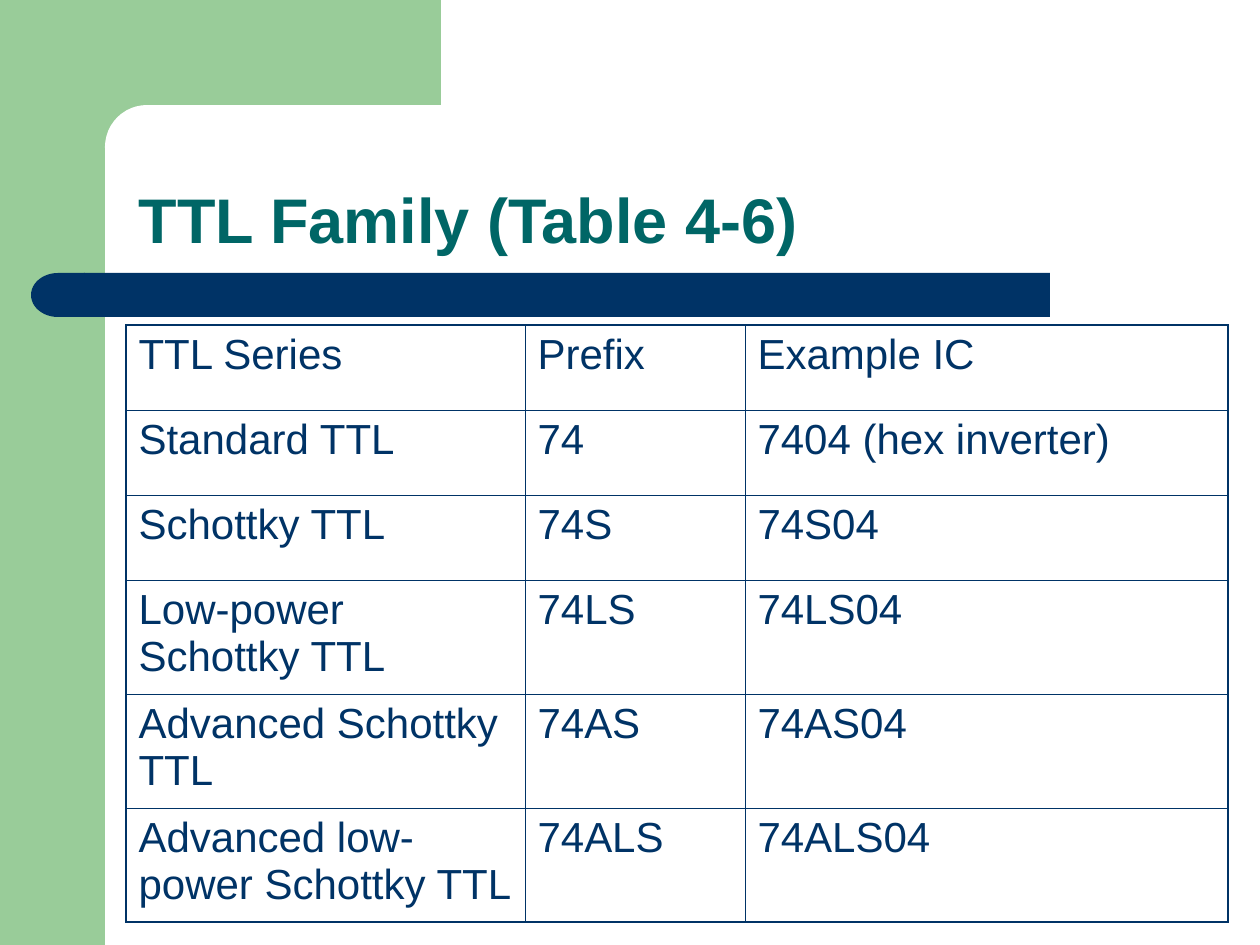
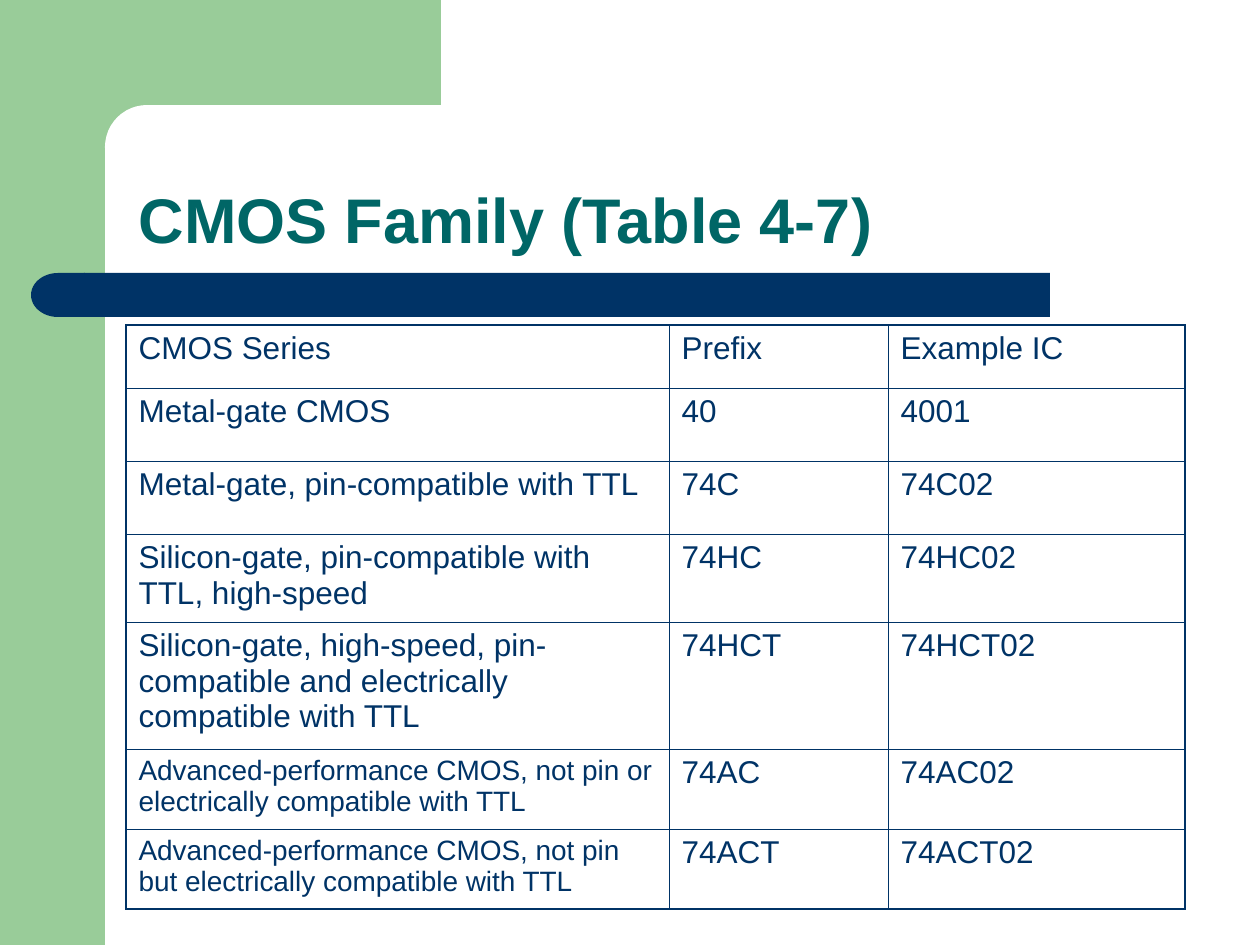
from dataclasses import dataclass
from typing import Any, Optional

from lxml import etree
from pptx import Presentation
from pptx.dml.color import RGBColor
from pptx.enum.shapes import MSO_SHAPE
from pptx.enum.text import MSO_ANCHOR, MSO_AUTO_SIZE, PP_ALIGN
from pptx.oxml.ns import qn
from pptx.util import Emu, Pt

RECTANGLE = MSO_SHAPE.RECTANGLE
ROUNDED = MSO_SHAPE.ROUNDED_RECTANGLE
DELAY = MSO_SHAPE.FLOWCHART_DELAY
ANCHOR_BOTTOM = MSO_ANCHOR.BOTTOM
NO_AUTOFIT = MSO_AUTO_SIZE.NONE
ALIGN_LEFT = PP_ALIGN.LEFT

GREEN = RGBColor(0x99, 0xCC, 0x99)
WHITE = RGBColor(0xFF, 0xFF, 0xFF)
NAVY = RGBColor(0x00, 0x33, 0x66)
TEAL = RGBColor(0x00, 0x66, 0x66)

EMU_PER_PX = 914400 / 126
FONT = "Arial"
OUTER_LINE = Pt(1.08)
INNER_LINE = Pt(0.45)
TABLE_LEFT, TABLE_TOP = 126, 325
TITLE_ONLY = 5

MARGINS = {"margin_left": Pt(7.2), "margin_right": Pt(7.2),
           "margin_top": Pt(3.6), "margin_bottom": Pt(3.6)}
TITLE_FRAME = MARGINS | {"word_wrap": True, "auto_size": NO_AUTOFIT,
                         "vertical_anchor": ANCHOR_BOTTOM}
TITLE_PARAGRAPH = {"alignment": ALIGN_LEFT, "line_spacing": 0.9}
TITLE_FONT = {"name": FONT, "size": Pt(36), "bold": True}
TABLE_FLAGS = {"first_row": False, "horz_banding": False}


@dataclass(frozen=True)
class Band:
    kind: MSO_SHAPE
    left: int
    top: int
    width: int
    height: int
    color: RGBColor
    rounding: Optional[float] = None
    flipped: bool = False


@dataclass(frozen=True)
class Series:
    label: str
    prefix: str
    example: str
    height: int
    label_size: Optional[int] = None


@dataclass(frozen=True)
class Family:
    title: str
    text_size: int
    column_widths: tuple[int, ...]
    series: tuple[Series, ...]


BANDS = (
    Band(RECTANGLE, 0, 0, 105, 945, GREEN),
    Band(RECTANGLE, 94, 0, 347, 147, GREEN),
    Band(ROUNDED, 105, 105, 703, 84, WHITE, rounding=0.5),
    Band(ROUNDED, 84, 273, 966, 44, NAVY, rounding=0),
    Band(DELAY, 31, 273, 54, 44, NAVY, flipped=True),
)

FAMILIES = (
    Family("TTL Family (Table 4-6)", 24, (399, 220, 483), (
        Series("TTL Series", "Prefix", "Example IC", 85),
        Series("Standard TTL", "74", "7404 (hex inverter)", 85),
        Series("Schottky TTL", "74S", "74S04", 85),
        Series("Low-power Schottky TTL", "74LS", "74LS04", 114),
        Series("Advanced Schottky TTL", "74AS", "74AS04", 114),
        Series("Advanced low-power Schottky TTL", "74ALS", "74ALS04", 114),
    )),
    Family("CMOS Family (Table 4-7)", 18, (543, 219, 297), (
        Series("CMOS Series", "Prefix", "Example IC", 63),
        Series("Metal-gate CMOS", "40", "4001", 73),
        Series("Metal-gate, pin-compatible with TTL", "74C", "74C02", 73),
        Series("Silicon-gate, pin-compatible with TTL, high-speed",
               "74HC", "74HC02", 88),
        Series("Silicon-gate, high-speed, pin-compatible and electrically "
               "compatible with TTL", "74HCT", "74HCT02", 127),
        Series("Advanced-performance CMOS, not pin or electrically "
               "compatible with TTL", "74AC", "74AC02", 80, 16),
        Series("Advanced-performance CMOS, not pin but electrically "
               "compatible with TTL", "74ACT", "74ACT02", 80, 16),
    )),
)


def px(length: int) -> Emu:
    return Emu(round(length * EMU_PER_PX))


def apply_format(target: Any, values: dict[str, Any]) -> None:
    for attribute, value in values.items():
        setattr(target, attribute, value)


def draw_band(slide: Any, band: Band) -> Any:
    shape = slide.shapes.add_shape(
        band.kind, px(band.left), px(band.top), px(band.width), px(band.height))
    shape.shadow.inherit = False
    shape.fill.solid()
    shape.fill.fore_color.rgb = band.color
    shape.line.fill.background()
    if band.rounding is not None:
        shape.adjustments[0] = band.rounding
    if band.flipped:
        shape._element.spPr.find(qn("a:xfrm")).set("flipH", "1")
    return shape


def move_bands_to_layout(slide: Any, layout: Any) -> None:
    layout_tree = layout.shapes._spTree
    for position, band in enumerate(BANDS, start=2):
        layout_tree.insert(position, draw_band(slide, band)._element)


def place_title(layout: Any) -> None:
    apply_format(layout.placeholders[0], {
        "left": px(126), "top": px(105), "width": px(1102), "height": px(158)})


def write_title(slide: Any, text: str) -> None:
    frame = slide.shapes.title.text_frame
    frame.text = text
    apply_format(frame, TITLE_FRAME)
    paragraph = frame.paragraphs[0]
    apply_format(paragraph, TITLE_PARAGRAPH)
    font = paragraph.runs[0].font
    apply_format(font, TITLE_FONT)
    font.color.rgb = TEAL


def set_borders(cell: Any, widths: dict[str, Emu]) -> None:
    properties = cell._tc.get_or_add_tcPr()
    for position, (side, width) in enumerate(widths.items()):
        line = etree.Element(qn(f"a:{side}"), w=str(width))
        fill = etree.SubElement(line, qn("a:solidFill"))
        etree.SubElement(fill, qn("a:srgbClr"), val=str(NAVY))
        properties.insert(position, line)


def write_cell(cell: Any, text: str, size: int) -> None:
    cell.text = text
    apply_format(cell, MARGINS)
    cell.fill.background()
    font = cell.text_frame.paragraphs[0].runs[0].font
    apply_format(font, {"name": FONT, "size": Pt(size), "bold": False})
    font.color.rgb = NAVY


def draw_family_table(slide: Any, family: Family) -> None:
    last_row = len(family.series) - 1
    last_column = len(family.column_widths) - 1
    table = slide.shapes.add_table(
        last_row + 1, last_column + 1, px(TABLE_LEFT), px(TABLE_TOP),
        px(sum(family.column_widths)),
        px(sum(series.height for series in family.series))).table
    apply_format(table, TABLE_FLAGS)
    for column, width in zip(table.columns, family.column_widths):
        column.width = px(width)
    for row, series in enumerate(family.series):
        table.rows[row].height = px(series.height)
        entries = (
            (series.label, series.label_size or family.text_size),
            (series.prefix, family.text_size),
            (series.example, family.text_size),
        )
        for column, (text, size) in enumerate(entries):
            cell = table.cell(row, column)
            write_cell(cell, text, size)
            outer_sides = {"lnL": column == 0, "lnR": column == last_column,
                           "lnT": row == 0, "lnB": row == last_row}
            set_borders(cell, {side: OUTER_LINE if outer else INNER_LINE
                               for side, outer in outer_sides.items()})


def main() -> None:
    presentation = Presentation()
    apply_format(presentation, {"slide_width": px(1260), "slide_height": px(945)})
    layout = presentation.slide_layouts[TITLE_ONLY]
    place_title(layout)
    for number, family in enumerate(FAMILIES):
        slide = presentation.slides.add_slide(layout)
        if number == 0:
            move_bands_to_layout(slide, layout)
        write_title(slide, family.title)
        draw_family_table(slide, family)
    presentation.save("out.pptx")


if __name__ == "__main__":
    main()
